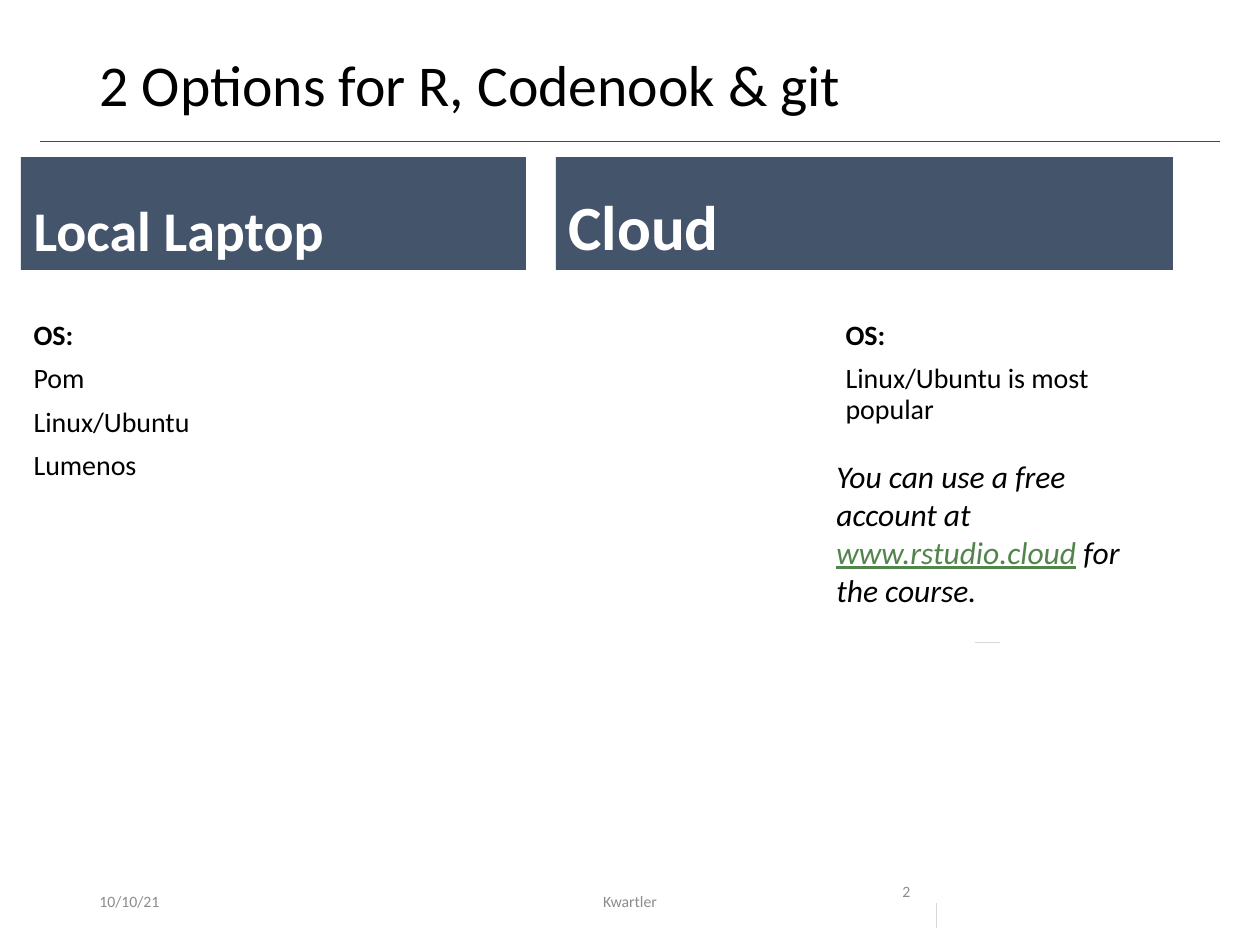
import pptx
import pptx.dml.color
import pptx.enum.shapes
import pptx.enum.text
import pptx.oxml.ns
import pptx.util
from lxml import etree

PX = 914400 // 126
ANCHOR = pptx.enum.text.MSO_ANCHOR
ALIGN = pptx.enum.text.PP_ALIGN


def px(n):
    """Turn whole pixels into EMU."""
    return pptx.util.Emu(n * PX)


def rgb(value):
    """Return a colour from a hex string."""
    return pptx.dml.color.RGBColor.from_string(value)


def place(sp, box, anchor=ANCHOR.TOP):
    """Move a text shape to its box and return its wrapped text frame."""
    sp.left, sp.top, sp.width, sp.height = map(px, box)
    tf = sp.text_frame
    tf.auto_size = pptx.enum.text.MSO_AUTO_SIZE.NONE
    tf.word_wrap = True
    tf.vertical_anchor = anchor
    return tf


def style(r, size, color="000000", bold=False, italic=False):
    """Format one run."""
    r.font.name = "Calibri"
    r.font.size = pptx.util.Pt(size)
    r.font.bold = bold
    r.font.italic = italic
    r.font.color.rgb = rgb(color)


def plain(p, before=0):
    """Make a placeholder paragraph left aligned, tight and without a bullet."""
    pPr = p._p.get_or_add_pPr()
    pPr.set("marL", "0")
    pPr.set("indent", "0")
    etree.SubElement(pPr, pptx.oxml.ns.qn("a:buNone"))
    p.alignment = ALIGN.LEFT
    p.line_spacing = 0.9
    p.space_before = pptx.util.Pt(before)


def rule(s, x1, y1, x2, y2, color):
    """Draw a thin straight line."""
    line = s.shapes.add_connector(
        pptx.enum.shapes.MSO_CONNECTOR.STRAIGHT, px(x1), px(y1), px(x2), px(y2))
    line.line.color.rgb = rgb(color)
    line.line.width = pptx.util.Pt(0.5)
    etree.SubElement(line._element.spPr, pptx.oxml.ns.qn("a:effectLst"))


def title(s, box, text):
    """Fill the title and draw the rule below it."""
    x, y, w, h = box
    tf = place(s.shapes.title, box)
    tf.text = text
    plain(tf.paragraphs[0])
    style(tf.paragraphs[0].runs[0], 33)
    rule(s, x - 47, y + 91, x + w + 47, y + 91, "A51C30")


def option(header, body, box, list_x, list_h, name, size, systems):
    """Fill one option: a coloured header and its list of systems."""
    x, y, w, h = box
    tf = place(header, (x, y, w, 113), ANCHOR.BOTTOM)
    header.fill.solid()
    header.fill.fore_color.rgb = rgb("44546A")
    tf.text = name
    plain(tf.paragraphs[0])
    style(tf.paragraphs[0].runs[0], size, "FFFFFF", bold=True)

    tf = place(body, (x + list_x, y + 158, 340, list_h))
    tf.text = "\n".join(["OS:"] + systems)
    for i, p in enumerate(tf.paragraphs):
        plain(p, 7.5 if i else 0)
        style(p.runs[0], 16, bold=i == 0)


def account_note(s, box):
    """Write the note about the free account, with a short rule below."""
    x, y, w, h = box
    tf = place(s.shapes.add_textbox(0, 0, 0, 0), box)
    p = tf.paragraphs[0]
    for text in ("You can use a free account at ", "www.rstudio.cloud", " for the course."):
        r = p.add_run()
        r.text = text
        link = text.startswith("www")
        style(r, 18, "52854C" if link else "000000", italic=True)
        r.font.underline = link
    rule(s, x + 151, y + 191, x + 176, y + 191, "D9D9D9")


def footer(s, box):
    """Write the date, author and slide number, with a short upright rule."""
    x, y, w, h = box
    for text, dx, width, align, anchor in (
            ("10/10/21", 0, 284, ALIGN.LEFT, ANCHOR.MIDDLE),
            ("Kwartler", 330, 426, ALIGN.CENTER, ANCHOR.MIDDLE),
            ("2", 803, 118, ALIGN.LEFT, ANCHOR.TOP)):
        tf = place(s.shapes.add_textbox(0, 0, 0, 0), (x + dx, y, width, h), anchor)
        tf.text = text
        p = tf.paragraphs[0]
        p.alignment = align
        style(p.runs[0], 9, "8C8C8C")
    rule(s, x + 849, y + 27, x + 849, y + 52, "D9D9D9")


def main():
    """Build the slide and save it."""
    prs = pptx.Presentation()
    prs.slide_width = pptx.util.Inches(10)
    prs.slide_height = pptx.util.Inches(7.5)
    s = prs.slides.add_slide(prs.slide_layouts[4])
    ph = s.placeholders
    title(s, (87, 50, 1086, 82), "2 Options for R, Codenook & git")
    option(ph[1], ph[2], (21, 157, 505, 375), 0, 217,
           "Local Laptop", 32, ["Pom", "Linux/Ubuntu", "Lumenos"])
    option(ph[3], ph[4], (556, 157, 617, 273), 277, 115,
           "Cloud", 36, ["Linux/Ubuntu is most popular"])
    account_note(s, (824, 451, 345, 165))
    footer(s, (87, 876, 1086, 50))
    prs.save("out.pptx")


if __name__ == "__main__":
    main()
